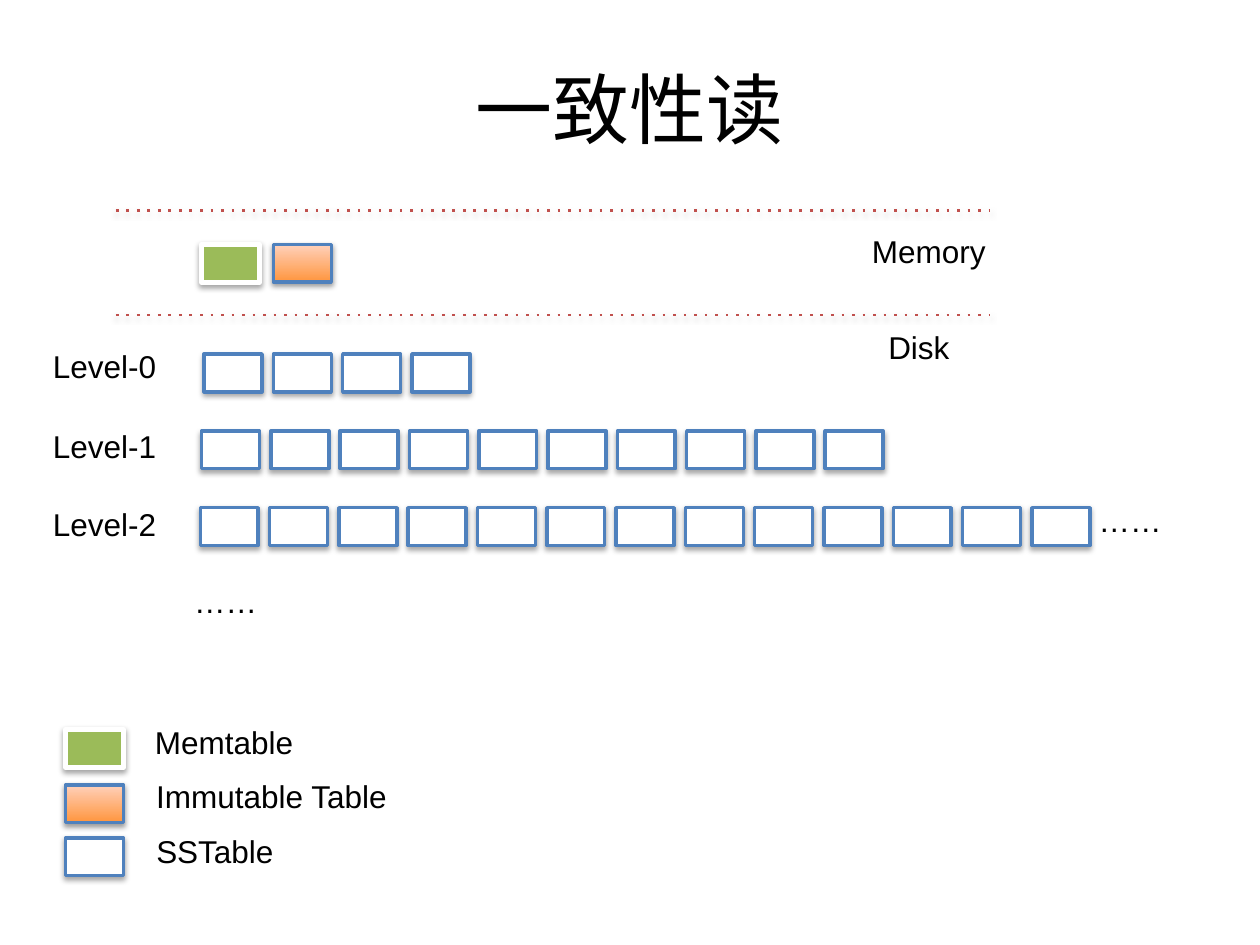
from lxml import etree
from pptx import Presentation
from pptx.dml.color import RGBColor
from pptx.enum.dml import MSO_LINE
from pptx.enum.shapes import MSO_CONNECTOR, MSO_SHAPE
from pptx.enum.text import MSO_ANCHOR, MSO_AUTO_SIZE, PP_ALIGN
from pptx.oxml.ns import qn
from pptx.util import Inches, Pt

RECTANGLE = MSO_SHAPE.RECTANGLE
STRAIGHT = MSO_CONNECTOR.STRAIGHT
TITLE_ONLY = 5

BLACK, WHITE = "000000", "FFFFFF"
BLUE, RED, GREEN = "4F81BD", "C0504D", "9BBB59"
ORANGE_GRADIENT = ("FF953E", "FFD1BB")  # bottom to top

BOX_WIDTH, BOX_HEIGHT, BOX_PITCH = 0.46, 0.3, 0.55
LABEL_HEIGHT = 0.41
LEVEL_LABEL_LEFT = 0.42
LEGEND_LEFT = 0.52

# label, label top, first box left, box top, number of SSTables
LEVELS = [
    ("Level-0", 2.75, 1.62, 2.81, 4),
    ("Level-1", 3.39, 1.6, 3.42, 10),
    ("Level-2", 4.01, 1.59, 4.03, 13),
]


def color(hex_string):
    return RGBColor.from_string(hex_string)


def add_shadow(element, opacity=35, distance=1.8):
    """Soft black shadow falling straight down."""
    effects = element.spPr.find(qn("a:effectLst"))
    if effects is None:
        effects = etree.SubElement(element.spPr, qn("a:effectLst"))
    shadow = etree.SubElement(
        effects, qn("a:outerShdw"), blurRad=str(Pt(3)), dist=str(Pt(distance)),
        dir="5400000", rotWithShape="0")
    black = etree.SubElement(shadow, qn("a:srgbClr"), val=BLACK)
    etree.SubElement(black, qn("a:alpha"), val=str(opacity * 1000))


def style_run(run, size, font_name):
    run.font.size = Pt(size)
    run.font.name = font_name
    run.font.color.rgb = color(BLACK)
    etree.SubElement(run.font._element, qn("a:ea"), typeface="Noto Sans CJK SC")


def add_title(slide, text):
    title = slide.shapes.title
    title.left, title.top = Inches(0.5), Inches(0.3)
    title.width, title.height = Inches(9), Inches(1.11)
    frame = title.text_frame
    frame.text = text
    frame.vertical_anchor = MSO_ANCHOR.MIDDLE
    frame.paragraphs[0].alignment = PP_ALIGN.CENTER
    style_run(frame.paragraphs[0].runs[0], 44, "Noto Sans CJK SC")


def add_label(slide, text, left, top, width):
    label = slide.shapes.add_textbox(
        Inches(left), Inches(top), Inches(width), Inches(LABEL_HEIGHT))
    frame = label.text_frame
    frame.margin_left = frame.margin_right = 0
    frame.margin_top = frame.margin_bottom = 0
    frame.word_wrap = False
    frame.auto_size = MSO_AUTO_SIZE.SHAPE_TO_FIT_TEXT
    frame.text = text
    style_run(frame.paragraphs[0].runs[0], 18, "Arial")


def add_box(slide, left, top, line_color=BLUE, line_width=2):
    box = slide.shapes.add_shape(
        RECTANGLE, Inches(left), Inches(top), Inches(BOX_WIDTH), Inches(BOX_HEIGHT))
    box.line.color.rgb = color(line_color)
    box.line.width = Pt(line_width)
    box.shadow.inherit = False
    return box


def add_sstable(slide, left, top):
    sstable = add_box(slide, left, top)
    sstable.fill.solid()
    sstable.fill.fore_color.rgb = color(WHITE)
    add_shadow(sstable._element)


def add_memtable(slide, left, top):
    memtable = add_box(slide, left, top, WHITE, 3)
    memtable.fill.solid()
    memtable.fill.fore_color.rgb = color(GREEN)
    add_shadow(memtable._element)


def add_immutable_table(slide, left, top):
    immutable = add_box(slide, left, top)
    immutable.fill.gradient()
    immutable.fill.gradient_angle = 90
    for stop, stop_color, position in zip(
            immutable.fill.gradient_stops, ORANGE_GRADIENT, (0, 1)):
        stop.color.rgb = color(stop_color)
        stop.position = position
    add_shadow(immutable._element, opacity=38, distance=1.6)


def add_divider(slide, top):
    divider = slide.shapes.add_connector(
        STRAIGHT, Inches(0.92), Inches(top), Inches(7.86), Inches(top))
    divider.line.color.rgb = color(RED)
    divider.line.width = Pt(1.5)
    divider.line.dash_style = MSO_LINE.ROUND_DOT
    # Widely spaced dots have no python-pptx member
    next(divider._element.iter(qn("a:prstDash"))).set("val", "dot")
    add_shadow(divider._element)


def main():
    presentation = Presentation()
    presentation.slide_width, presentation.slide_height = Inches(10), Inches(7.5)
    slide = presentation.slides.add_slide(presentation.slide_layouts[TITLE_ONLY])
    add_title(slide, "一致性读")

    # Memory and disk areas
    for top in (1.67, 2.5):
        add_divider(slide, top)
    add_memtable(slide, 1.6, 1.94)
    add_immutable_table(slide, 2.17, 1.94)
    add_label(slide, "Memory", 6.92, 1.84, 1.02)
    add_label(slide, "Disk", 7.05, 2.6, 0.6)

    # SSTable levels on disk
    for name, label_top, left, top, count in LEVELS:
        add_label(slide, name, LEVEL_LABEL_LEFT, label_top, 0.93)
        for column in range(count):
            add_sstable(slide, left + column * BOX_PITCH, top)
    add_label(slide, "……", 8.72, 3.98, 0.61)
    add_label(slide, "……", 1.54, 4.62, 0.61)

    # Legend
    add_memtable(slide, LEGEND_LEFT, 5.79)
    add_label(slide, "Memtable", 1.23, 5.74, 1.21)
    add_immutable_table(slide, LEGEND_LEFT, 6.23)
    add_label(slide, "Immutable Table", 1.24, 6.17, 1.94)
    add_sstable(slide, LEGEND_LEFT, 6.65)
    add_label(slide, "SSTable", 1.24, 6.6, 1.05)

    presentation.save("out.pptx")


if __name__ == "__main__":
    main()
